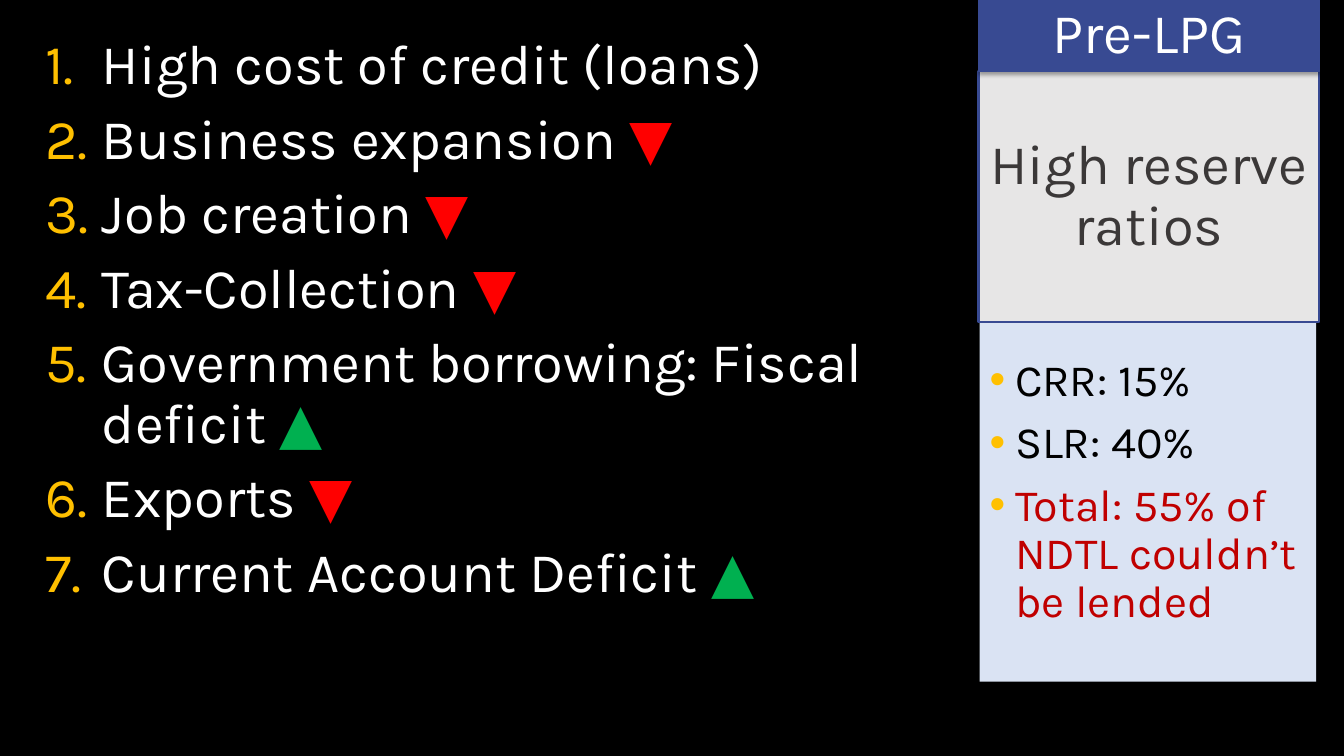
from lxml.etree import SubElement as Sub
from pptx import Presentation
from pptx.dml.color import RGBColor as RGB
from pptx.enum.shapes import MSO_SHAPE as Form
from pptx.enum.text import MSO_ANCHOR as Anchor, PP_ALIGN as Align
from pptx.oxml.ns import qn
from pptx.util import Cm, Pt

BLACK = RGB(0x00, 0x00, 0x00)
WHITE = RGB(0xFF, 0xFF, 0xFF)
NAVY = RGB(0x38, 0x4A, 0x92)
PALE = RGB(0xDA, 0xE3, 0xF3)
GREY = RGB(0xE7, 0xE6, 0xE6)
DARK = RGB(0x3B, 0x38, 0x38)
GOLD = RGB(0xFF, 0xC0, 0x00)
RED = RGB(0xFF, 0x00, 0x00)
WINE = RGB(0xC0, 0x00, 0x00)
GREEN = RGB(0x00, 0xB0, 0x50)

FONT = "Karla"
DOWN, UP = ("▼", RED), ("▲", GREEN)
EFFECTS = [
    ("High cost of credit (loans)", None),
    ("Business expansion ", DOWN),
    ("Job creation ", DOWN),
    ("Tax-Collection ", DOWN),
    ("Government borrowing: Fiscal deficit ", UP),
    ("Exports ", DOWN),
    ("Current Account Deficit ", UP),
]
RATIOS = [
    ("CRR: 15%", BLACK),
    ("SLR: 40%", BLACK),
    ("Total: 55% of NDTL couldn’t be lended", WINE),
]


def add_box(slide, form, area, fill, line=None, width=0):
    box = slide.shapes.add_shape(form, *map(Cm, area))
    box.shadow.inherit = False
    box.fill.solid()
    box.fill.fore_color.rgb = fill
    if line is None:
        box.line.fill.background()
    else:
        box.line.color.rgb = line
        box.line.width = Pt(width)
    return box


def add_shade(box):
    """Drop a soft shadow straight below the box."""
    effects = box._element.spPr.find(qn("a:effectLst"))
    shade = Sub(effects, qn("a:outerShdw"), blurRad=str(Pt(3.1)),
                dist=str(Pt(1.8)), dir="5400000", rotWithShape="0")
    color = Sub(shade, qn("a:srgbClr"), val=str(BLACK))
    Sub(color, qn("a:alpha"), val="35000")


def set_frame(box, anchor=Anchor.TOP, top=0.13):
    frame = box.text_frame
    frame.word_wrap = True
    frame.vertical_anchor = anchor
    frame.margin_top = Cm(top)
    return frame


def add_mark(para, indent, kind, **attrs):
    """Give the paragraph a gold bullet or number with a hanging indent."""
    props = para._p.get_or_add_pPr()
    props.set("marL", str(Cm(indent)))
    props.set("indent", str(-Cm(indent)))
    Sub(Sub(props, qn("a:buClr")), qn("a:srgbClr"), val=str(GOLD))
    if kind == "a:buChar":
        Sub(props, qn("a:buFont"), typeface="Arial")
    Sub(props, qn(kind), **attrs)


def add_para(frame, index, align=Align.LEFT):
    para = frame.add_paragraph() if index else frame.paragraphs[0]
    para.alignment = align
    para.line_spacing = 0.9
    if index:
        para.space_before = Pt(10)
    return para


def add_run(para, text, size, color):
    run = para.add_run()
    run.text = text
    run.font.name = FONT
    run.font.size = Pt(size)
    run.font.color.rgb = color


def add_ratios(slide):
    box = add_box(slide, Form.FLOWCHART_MANUAL_INPUT, (24.69, 4.78, 8.48, 12.4), PALE)
    frame = set_frame(box, top=1.75)
    for index, (text, color) in enumerate(RATIOS):
        para = add_para(frame, index)
        add_mark(para, 0.64, "a:buChar", char="•")
        add_run(para, text, 32, color)


def add_effects(slide):
    box = slide.shapes.add_textbox(*map(Cm, (0.89, 0.79, 23.6, 16.36)))
    frame = set_frame(box)
    for index, (text, trend) in enumerate(EFFECTS):
        para = add_para(frame, index)
        add_mark(para, 1.43, "a:buAutoNum", type="arabicPeriod")
        add_run(para, text, 40, WHITE)
        if trend:
            sign, color = trend
            add_run(para, sign, 40, color)


def add_label(box, text, color, anchor):
    para = add_para(set_frame(box, anchor), 0, Align.CENTER)
    add_run(para, text, 40, color)


def main():
    deck = Presentation()
    deck.slide_width, deck.slide_height = Cm(33.87), Cm(19.05)
    slide = deck.slides.add_slide(deck.slide_layouts[6])
    back = slide.background.fill
    back.solid()
    back.fore_color.rgb = BLACK

    add_ratios(slide)
    add_effects(slide)
    title = add_box(slide, Form.RECTANGLE, (24.66, 1.8, 8.59, 6.32), GREY, NAVY, 1.5)
    add_label(title, "High reserve ratios", DARK, Anchor.MIDDLE)
    head = add_box(slide, Form.RECTANGLE, (24.66, 0, 8.59, 1.8), NAVY, NAVY, 0.75)
    add_shade(head)
    add_label(head, "Pre-LPG", WHITE, Anchor.TOP)
    deck.save("out.pptx")


if __name__ == "__main__":
    main()
